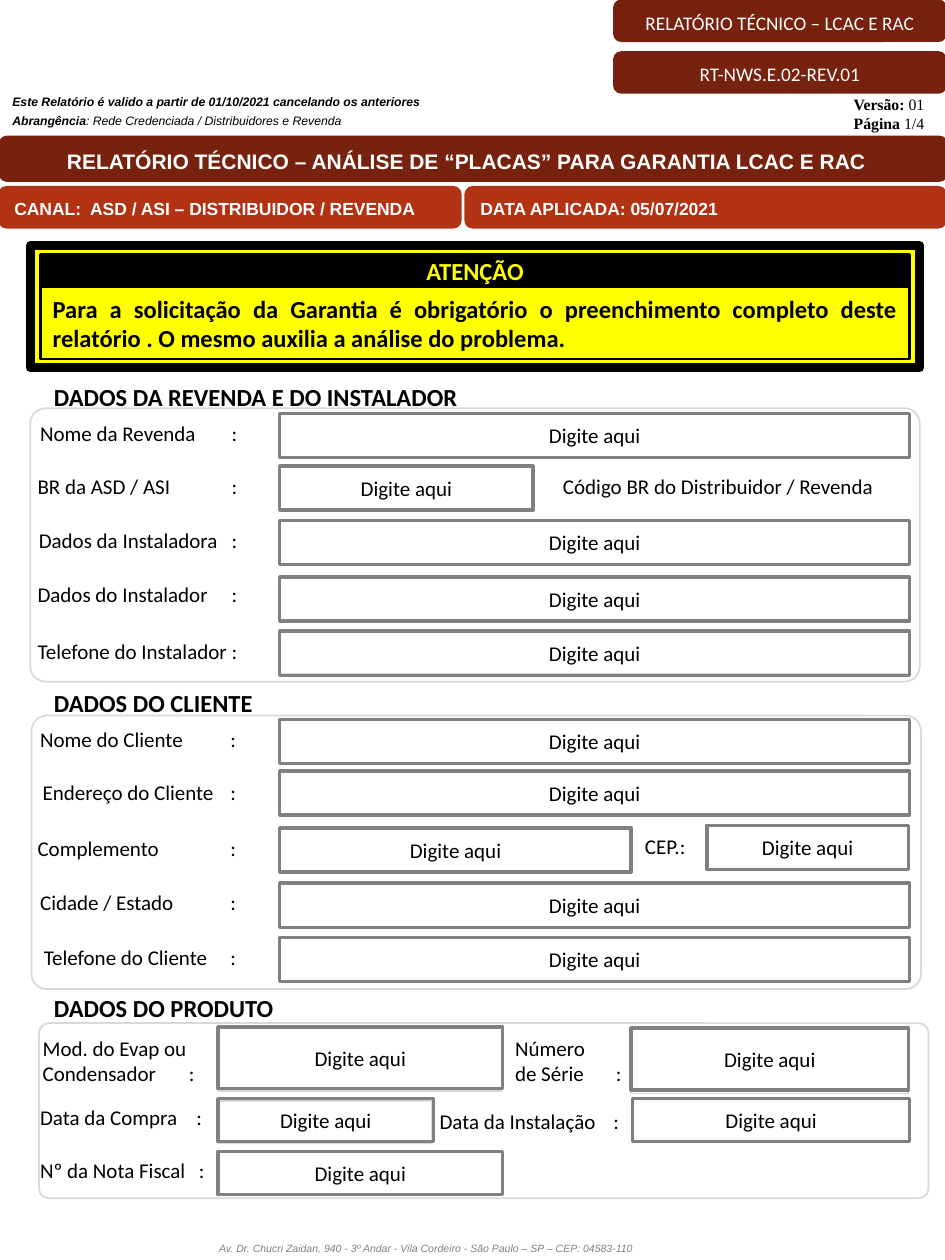
"""Build the warranty report form with its header, warning and three data sections."""
from lxml import etree
from pptx import Presentation
from pptx import util as u
from pptx.dml.color import RGBColor
from pptx.enum import shapes, text
from pptx.oxml.ns import qn

BROWN = RGBColor(0x77, 0x22, 0x0E)
RUST = RGBColor(0xB2, 0x32, 0x14)
YELLOW = RGBColor(0xFF, 0xFF, 0x00)
BLACK = RGBColor(0x00, 0x00, 0x00)
WHITE = RGBColor(0xFF, 0xFF, 0xFF)
GREY = RGBColor(0x80, 0x80, 0x80)
PALE = RGBColor(0xD9, 0xD9, 0xD9)
RECT = shapes.MSO_SHAPE.RECTANGLE
ROUND = shapes.MSO_SHAPE.ROUNDED_RECTANGLE
LEFT, CENTER, JUSTIFY = text.PP_ALIGN.LEFT, text.PP_ALIGN.CENTER, text.PP_ALIGN.JUSTIFY
TOP, MIDDLE = text.MSO_ANCHOR.TOP, text.MSO_ANCHOR.MIDDLE

deck = Presentation()
deck.slide_width, deck.slide_height = u.Inches(7.5), u.Inches(10)
page = deck.slides.add_slide(deck.slide_layouts[6])


def add_block(kind, at, fill, line, weight):
    box = page.shapes.add_shape(kind, *[u.Inches(v) for v in at])
    box.shadow.inherit = False
    if fill is None:
        box.fill.background()
    else:
        box.fill.solid()
        box.fill.fore_color.rgb = fill
    box.line.color.rgb = line
    box.line.width = u.Pt(weight)
    return box


def write(box, lines, size, color=BLACK, font="Calibri", align=LEFT, anchor=TOP,
          spacing=None, italic=False, tab=None):
    frame = box.text_frame
    frame.word_wrap = True
    frame.vertical_anchor = anchor
    for number, spans in enumerate(lines):
        para = frame.add_paragraph() if number else frame.paragraphs[0]
        para.alignment = align
        if spacing:
            para.line_spacing = spacing
        if tab:
            stops = etree.SubElement(para._p.get_or_add_pPr(), qn("a:tabLst"))
            etree.SubElement(stops, qn("a:tab"), pos=str(u.Inches(tab)), algn="l")
        for words, bold in spans:
            span = para.add_run()
            span.text = words
            span.font.size = u.Pt(size)
            span.font.name = font
            span.font.bold = bold
            span.font.italic = italic
            span.font.color.rgb = color


for top, words in [(0.01, "RELATÓRIO TÉCNICO – LCAC E RAC"), (0.42, "RT-NWS.E.02-REV.01")]:
    pill = add_block(ROUND, (4.88, top, 2.62, 0.31), BROWN, BROWN, 2)
    write(pill, [[(words, False)]], 11, WHITE, align=CENTER, anchor=MIDDLE, spacing=1.15)

small_lines = [
    ((0, 9.79, 6.76, 0.21), 6, GREY, CENTER,
     [("Av. Dr. Chucri Zaidan, 940 - 3º Andar - Vila Cordeiro - São Paulo – SP – CEP: 04583-110", False)]),
    ((0, 0.68, 4.38, 0.14), 7, BLACK, LEFT,
     [("Este Relatório é valido a partir de 01/10/2021 cancelando os anteriores", True)]),
    ((0, 0.83, 4.16, 0.23), 7, BLACK, LEFT,
     [("Abrangência", True), (": Rede Credenciada / Distribuidores e Revenda", False)]),
]
for at, size, color, align, spans in small_lines:
    box = page.shapes.add_textbox(*[u.Inches(v) for v in at])
    write(box, [spans], size, color, "Arial", align, spacing=1.15, italic=True)

version = page.shapes.add_textbox(u.Inches(6.63), u.Inches(0.73), u.Inches(0.85), u.Inches(0.35))
frame = version.text_frame
frame.margin_left = frame.margin_right = frame.margin_top = frame.margin_bottom = 0
write(version, [[("Versão:", True), (" 01", False)], [("Página ", True), ("1/4", False)]],
      9, font="Times New Roman", align=CENTER, anchor=MIDDLE)

title = add_block(ROUND, (0, 1.09, 7.51, 0.34), BROWN, BROWN, 2)
title.text_frame.margin_right = u.Inches(0.2)
write(title, [[("RELATÓRIO TÉCNICO – ANÁLISE DE “PLACAS” PARA GARANTIA LCAC E RAC", True)]],
      12, WHITE, "Arial", CENTER, MIDDLE, 1.15)
for left, width, words in [(0, 3.65, "CANAL:  ASD / ASI – DISTRIBUIDOR / REVENDA"),
                           (3.7, 3.8, "DATA APLICADA: 05/07/2021")]:
    banner = add_block(ROUND, (left, 1.49, width, 0.31), RUST, RUST, 2)
    write(banner, [[(words, True)]], 10, WHITE, "Arial", LEFT, MIDDLE, 1.15)

add_block(RECT, (0.24, 1.95, 7.06, 0.97), YELLOW, BLACK, 5.25)
warning = add_block(RECT, (0.32, 2.04, 6.9, 0.81), YELLOW, BLACK, 1.5)
warning.text_frame.margin_top = u.Inches(0.29)
write(warning, [[("Para a solicitação da Garantia é obrigatório o preenchimento completo deste "
                  "relatório . O mesmo auxilia a análise do problema.", True)]], 14, align=JUSTIFY)
heading = add_block(RECT, (0.32, 2.02, 6.9, 0.25), BLACK, BLACK, 2)
write(heading, [[("ATENÇÃO", True)]], 14, YELLOW, align=CENTER, anchor=MIDDLE)

sections = [
    ("DADOS DA REVENDA E DO INSTALADOR", 2.98, (0.24, 3.24, 7.06, 2.17)),
    ("DADOS DO CLIENTE", 5.41, (0.25, 5.68, 7.06, 2.17)),
    ("DADOS DO PRODUTO", 7.83, (0.31, 8.12, 7.06, 1.39)),
]
for words, top, panel_at in sections:
    box = page.shapes.add_textbox(u.Inches(0.33), u.Inches(top), u.Inches(3.6), u.Inches(0.34))
    write(box, [[(words, True)]], 14)
    panel = add_block(ROUND, panel_at, None, PALE, 1)
    panel.adjustments[0] = 0.056

labels = [
    ("Nome da Revenda\t:", 0.22, 3.29, 1.84),
    ("BR da ASD / ASI\t:", 0.2, 3.71, 1.84),
    ("Dados da Instaladora\t:", 0.21, 4.14, 1.84),
    ("Dados do Instalador\t:", 0.2, 4.57, 1.84),
    ("Telefone do Instalador\t:", 0.2, 5.02, 1.84),
    ("Nome do Cliente\t:", 0.22, 5.72, 1.83),
    ("Endereço do Cliente\t:", 0.24, 6.14, 1.83),
    ("Complemento\t:", 0.2, 6.58, 1.83),
    ("Cidade / Estado\t:", 0.22, 7.01, 1.83),
    ("Telefone do Cliente\t:", 0.25, 7.45, 1.83),
    ("Mod. do Evap ou\nCondensador\t:", 0.24, 8.17, 1.5),
    ("Número\nde Série\t:", 3.99, 8.17, 4.89),
    ("Data da Compra\t:", 0.22, 8.72, 1.56),
    ("Data da Instalação\t:", 3.39, 8.75, 4.87),
    ("Nº da Nota Fiscal\t:", 0.22, 9.14, 1.58),
    ("CEP.:", 5.02, 6.57, 5.4),
    ("Código BR do Distribuidor / Revenda", 4.37, 3.71, 7),
]
for words, left, top, colon in labels:
    lines = words.split("\n")
    box = page.shapes.add_textbox(u.Inches(left), u.Inches(top), u.Inches(colon - left + 0.2),
                                  u.Inches(0.1 + 0.2 * len(lines)))
    write(box, [[(line, False)] for line in lines], 12,
          tab=colon - left - 0.1 if "\t" in words else None)

for at in [(2.22, 5.02, 5, 0.33), (1.73, 8.15, 2.25, 0.51),
           (5.01, 8.17, 2.2, 0.51), (1.73, 8.74, 1.7, 0.33)]:
    add_block(RECT, at, None, PALE, 1)

fields = [(2.22, top, 5, 0.35) for top in (3.28, 4.13, 4.58, 5.01, 5.71, 6.12, 7.01, 7.44)]
fields += [
    (2.22, 3.7, 2.01, 0.35), (2.22, 6.57, 2.79, 0.35), (5.61, 6.55, 1.6, 0.35),
    (1.73, 8.15, 2.26, 0.49), (5.01, 8.16, 2.2, 0.49), (1.73, 8.72, 1.71, 0.34),
    (5.02, 8.72, 2.2, 0.34), (1.73, 9.14, 2.26, 0.34),
]
for at in fields:
    field = add_block(RECT, at, None, GREY, 2)
    write(field, [[("Digite aqui", False)]], 12, align=CENTER, anchor=MIDDLE)

deck.save("out.pptx")
